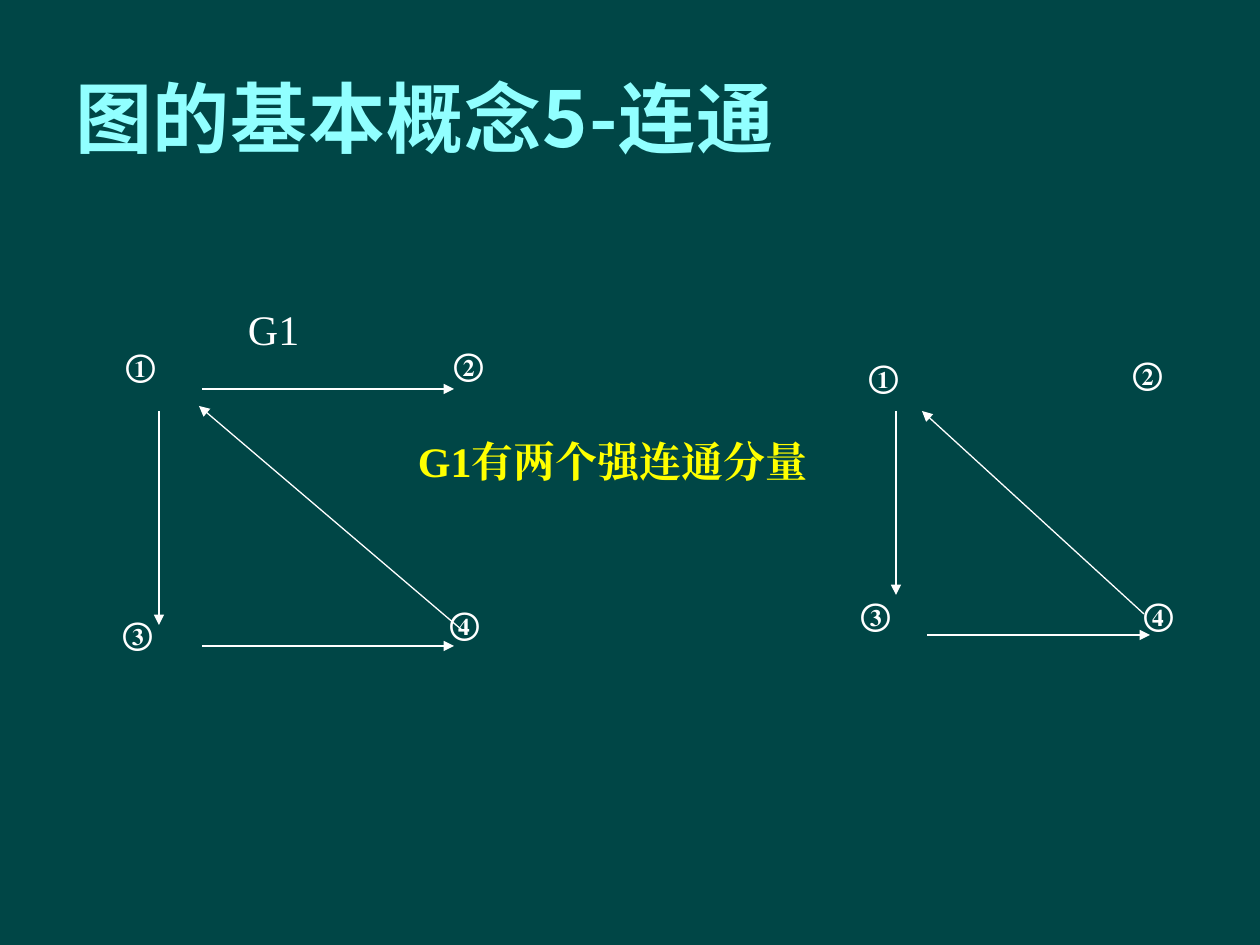
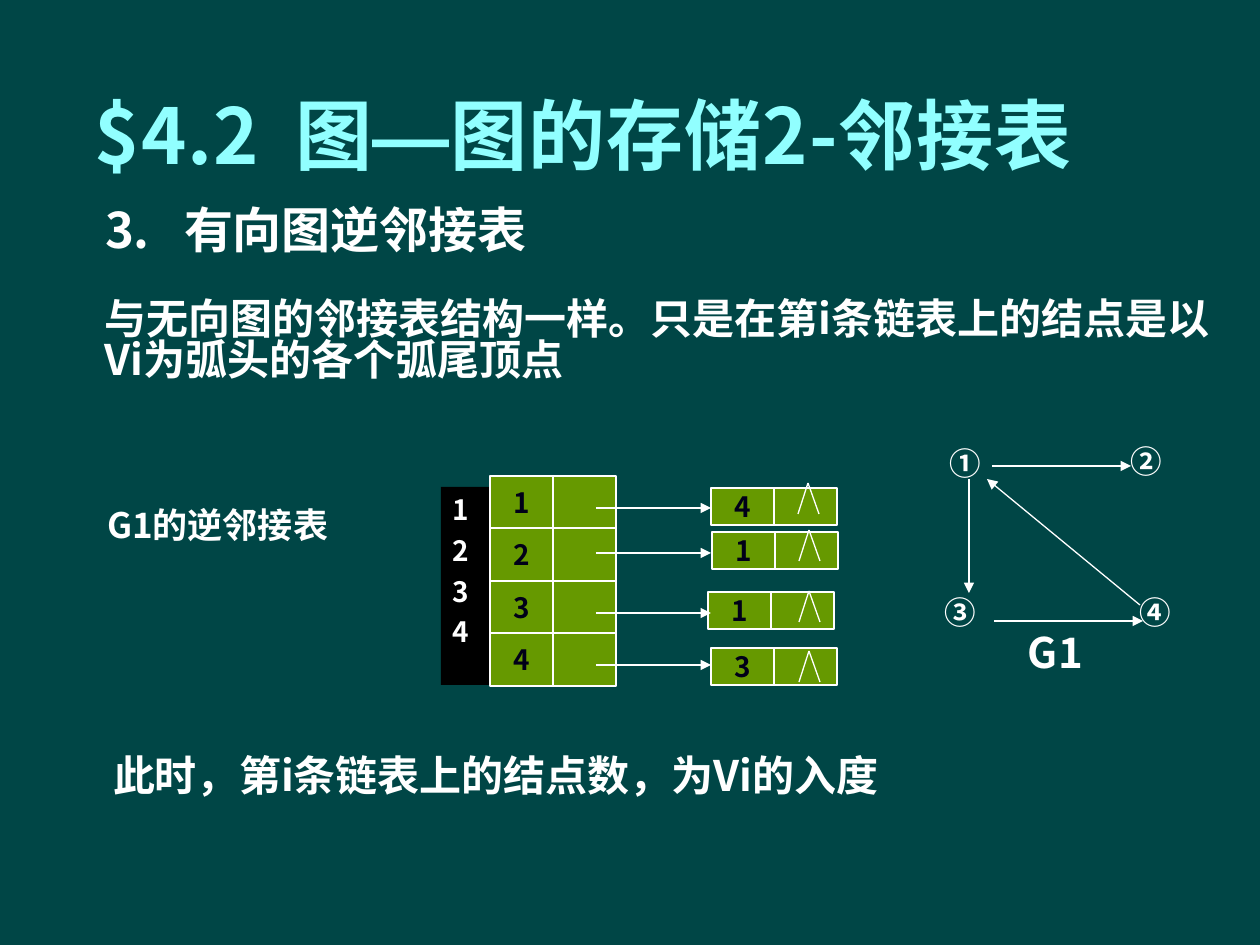
from dataclasses import dataclass

from lxml import etree
from pptx import Presentation
from pptx.dml.color import RGBColor
from pptx.enum.shapes import MSO_CONNECTOR, MSO_SHAPE
from pptx.enum.text import MSO_ANCHOR, MSO_AUTO_SIZE, PP_ALIGN
from pptx.oxml.ns import qn
from pptx.util import Pt

LEFT, CENTER = PP_ALIGN.LEFT, PP_ALIGN.CENTER
TOP, MIDDLE = MSO_ANCHOR.TOP, MSO_ANCHOR.MIDDLE
STRAIGHT, RECT = MSO_CONNECTOR.STRAIGHT, MSO_SHAPE.RECTANGLE
NO_FIT = MSO_AUTO_SIZE.NONE
PX = 914400 / 126
TITLE_ONLY = 5


@dataclass(frozen=True)
class Theme:
    back: str = "004646"
    title: str = "91FFFF"
    white: str = "FFFFFF"
    yellow: str = "FFFF00"
    black: str = "000000"
    cell: str = "669900"
    cell_text: str = "000018"
    sans: str = "Noto Sans CJK SC"
    serif: str = "Times New Roman"
    dash: str = "Arial"
    title_size: int = 44
    heading: int = 28
    body: int = 24
    caption: int = 20
    node: int = 18
    cell_size: int = 16
    thin: float = 0.75


T = Theme()


def emu(*lengths):
    return [round(v * PX) for v in lengths]


def rgb(value):
    return RGBColor.from_string(value)


def set_face(font, name):
    """Use one typeface for Latin and East Asian characters."""
    font.name = name
    latin = font._element.find(qn("a:latin"))
    ea = etree.Element(qn("a:ea"), typeface=name)
    latin.addnext(ea)


def style(p, size, color=T.white, face=T.sans, bold=True, align=LEFT, tab=None):
    p.alignment = align
    if tab:
        tabs = etree.SubElement(p._p.get_or_add_pPr(), qn("a:tabLst"))
        etree.SubElement(tabs, qn("a:tab"), pos=str(emu(tab)[0]), algn="l")
    p.font.size = Pt(size)
    p.font.bold = bold
    p.font.color.rgb = rgb(color)
    set_face(p.font, face)


def set_frame(tf, anchor, wrap=True, inset=0):
    tf.auto_size = NO_FIT
    tf.word_wrap = wrap
    tf.vertical_anchor = anchor
    tf.margin_left = tf.margin_right = tf.margin_top = tf.margin_bottom = emu(inset)[0]


def add_text(s, box, text, size, anchor=TOP, spacing=None, **look):
    tf = s.shapes.add_textbox(*emu(*box)).text_frame
    set_frame(tf, anchor)
    p = tf.paragraphs[0]
    p.text = text
    if spacing:
        p.line_spacing = spacing
    style(p, size, **look)


def add_line(s, x1, y1, x2, y2, width=T.thin, arrow=True):
    line = s.shapes.add_connector(STRAIGHT, *emu(x1, y1, x2, y2))
    line.line.color.rgb = rgb(T.white)
    line.line.width = Pt(width)
    if arrow:
        etree.SubElement(line.line._get_or_add_ln(), qn("a:tailEnd"), type="triangle")
    etree.SubElement(line._element.spPr, qn("a:effectLst"))


def add_rect(s, box, fill, border=None):
    sp = s.shapes.add_shape(RECT, *emu(*box))
    sp.shadow.inherit = False
    sp.fill.solid()
    sp.fill.fore_color.rgb = rgb(fill)
    if border:
        sp.line.color.rgb = rgb(border)
        sp.line.width = Pt(T.thin)
    else:
        sp.line.fill.background()
    return sp


def add_slide(prs, title_box, runs, tab=None):
    """Start a slide with its background and title."""
    s = prs.slides.add_slide(prs.slide_layouts[TITLE_ONLY])
    s.background.fill.solid()
    s.background.fill.fore_color.rgb = rgb(T.back)
    title = s.shapes.title
    title.left, title.top, title.width, title.height = emu(*title_box)
    set_frame(title.text_frame, MIDDLE, inset=12)
    p = title.text_frame.paragraphs[0]
    style(p, T.title_size, T.title, tab=tab)
    p.font._element.set("spc", "50")
    for text, face in runs:
        r = p.add_run()
        r.text = text
        if face != T.sans:
            set_face(r.font, face)
    return s


def add_graph(s, origin, nodes, edges, face):
    """Directed graph: numbered nodes and arrows, relative to origin."""
    x0, y0 = origin
    for mark, x, y in nodes:
        add_text(s, (x0 + x, y0 + y, 60, 60), mark, T.node, face=face)
    for x1, y1, x2, y2, width in edges:
        add_line(s, x0 + x1, y0 + y1, x0 + x2, y0 + y2, width)


def add_cell_pair(s, x, y, height, value, width=63):
    """A value cell followed by an empty pointer cell."""
    value_cell = add_rect(s, (x, y, width, height), T.cell, T.white)
    add_rect(s, (x + width, y, width, height), T.cell, T.white)
    tf = value_cell.text_frame
    set_frame(tf, MIDDLE, wrap=False)
    tf.text = value
    style(tf.paragraphs[0], T.cell_size, T.cell_text, align=CENTER)


def add_adjacency_list(s, origin, vertices, links):
    """Index column, head cells and one linked cell pair per vertex."""
    x0, y0 = origin
    index = add_rect(s, (x0, y0 + 11, 53, 198), T.black)
    tf = index.text_frame
    set_frame(tf, TOP, inset=6)
    tf.margin_left = emu(12)[0]
    tf.text = "\n".join(vertices)
    for i, p in enumerate(tf.paragraphs):
        if i:
            p.space_before = Pt(4)
        style(p, T.cell_size)

    for i, vertex in enumerate(vertices):
        add_cell_pair(s, x0 + 49, y0 + 210 * i // 4, 53, vertex)
    for value, x, y, arrow_y, tip_x, tip_y in links:
        add_cell_pair(s, x0 + x, y0 + y, 37, value)
        add_line(s, x0 + 155, y0 + arrow_y, x0 + 270, y0 + arrow_y)
        # End-of-list mark
        for dx in (-10, 11):
            add_line(s, x0 + tip_x, y0 + tip_y, x0 + tip_x + dx, y0 + tip_y + 31,
                     arrow=False)


def connectivity_slide(prs):
    s = add_slide(prs, (63, 38, 1071, 157), [("图的基本概念5-连通", T.sans)])
    # Graph G1
    add_graph(s, (123, 345),
              [("①", 3, 1), ("②", 331, 0), ("③", 0, 269), ("④", 327, 259)],
              [(79, 44, 331, 44, T.thin), (36, 66, 36, 280, T.thin),
               (79, 301, 331, 301, T.thin), (339, 285, 76, 61, T.thin)], T.serif)
    add_text(s, (248, 304, 151, 102), "G1", T.body, face=T.serif, bold=False)
    # Strongly connected components
    add_graph(s, (861, 354),
              [("①", 8, 3), ("②", 272, 0), ("③", 0, 241), ("④", 283, 241)],
              [(35, 57, 35, 241, T.thin), (283, 260, 61, 57, T.thin),
               (66, 281, 289, 281, T.thin)], T.serif)
    add_text(s, (418, 436, 395, 100), "G1有两个强连通分量", T.body,
             color=T.yellow, face=T.serif)


def inverse_list_slide(prs):
    s = add_slide(prs, (83, 55, 1177, 157),
                  [("$4.2\t图", T.sans), ("—", T.dash), ("图的存储2-邻接表", T.sans)],
                  tab=200)
    # Explanation
    add_text(s, (105, 199, 447, 59), "3.\t有向图逆邻接表", T.heading, MIDDLE, tab=79)
    add_text(s, (105, 302, 1110, 82),
             "与无向图的邻接表结构一样。只是在第i条链表上的结点是以Vi为弧头的各个弧尾顶点",
             T.body, MIDDLE, 0.8)
    add_text(s, (113, 738, 789, 82), "此时，第i条链表上的结点数，为Vi的入度",
             T.body, MIDDLE, 0.8)
    # Inverse adjacency list
    add_text(s, (107, 504, 272, 48), "G1的逆邻接表", T.caption)
    add_adjacency_list(s, (441, 476), "1234",
                       [("4", 270, 12, 32, 367, 7), ("1", 271, 56, 77, 368, 54),
                        ("1", 267, 116, 137, 368, 115), ("3", 270, 172, 189, 368, 175)])
    # Graph G1
    add_graph(s, (945, 442),
              [("①", 5, 2), ("②", 186, 0), ("③", 0, 151), ("④", 195, 151)],
              [(47, 24, 186, 24, 1), (24, 37, 24, 151, T.thin),
               (195, 163, 42, 37, T.thin), (49, 179, 198, 179, 1.5)], T.sans)
    add_text(s, (1028, 627, 84, 60), "G1", T.body)


def main():
    prs = Presentation()
    prs.slide_width, prs.slide_height = emu(1260, 945)
    connectivity_slide(prs)
    inverse_list_slide(prs)
    prs.save("out.pptx")


if __name__ == "__main__":
    main()
